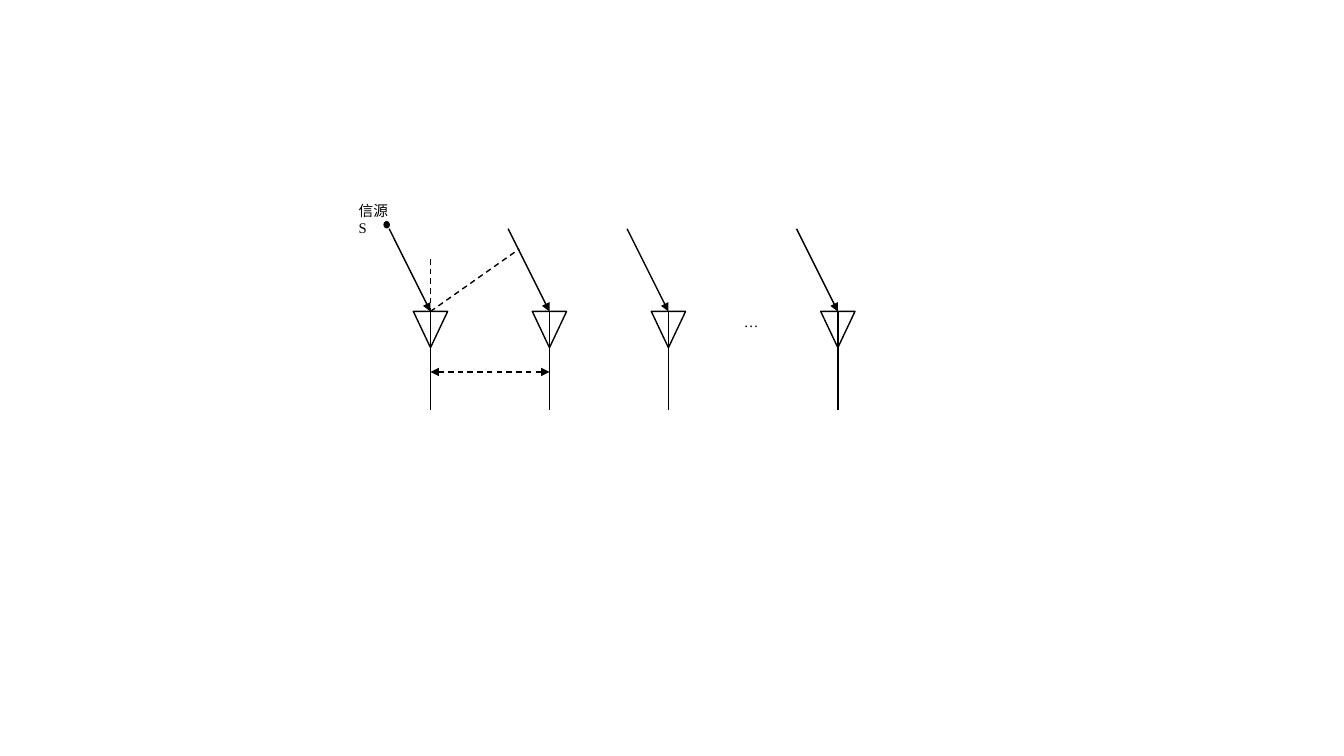
"""Draw a linear antenna array receiving a plane wave from a source."""
from lxml import etree
from pptx import Presentation, util as u
from pptx.dml import color
from pptx.enum import dml, shapes, text
from pptx.oxml import ns

PX = 9144
INK = "000000"
PAPER = "FFFFFF"
FONT = "Times New Roman"
FIRST_MAST = 427
SPACING = 118
LAST_MAST = 831
MASTS = [FIRST_MAST + SPACING * index for index in range(3)] + [LAST_MAST]
ANTENNA_TOP = 309


def px(length):
    """Turn whole pixels into EMU."""
    return u.Emu(length * PX)


def rgb(value):
    """Turn a hex string into a colour."""
    return color.RGBColor.from_string(value)


def style_line(line):
    """Give a line the drawing's ink and weight."""
    line.color.rgb = rgb(INK)
    line.width = u.Pt(1)


def add_line(page, start, end, dashed=False, arrows=()):
    """Add a straight line with optional dashes and arrowheads."""
    line = page.shapes.add_connector(
        shapes.MSO_CONNECTOR.STRAIGHT, *map(px, start + end))
    style_line(line.line)
    if dashed:
        line.line.dash_style = dml.MSO_LINE.DASH
    properties = line._element.spPr
    outline = line.line._get_or_add_ln()
    for side in arrows:
        etree.SubElement(outline, ns.qn(f"a:{side}"), type="triangle")
    etree.SubElement(properties, ns.qn("a:effectLst"))


def add_figure(page, kind, bounds, fill):
    """Add a filled and outlined preset shape."""
    figure = page.shapes.add_shape(kind, *map(px, bounds))
    figure.shadow.inherit = False
    figure.fill.solid()
    figure.fill.fore_color.rgb = rgb(fill)
    style_line(figure.line)
    return figure


def add_label(page, bounds, words):
    """Add a small text label."""
    box = page.shapes.add_textbox(*map(px, bounds))
    box.text_frame.word_wrap = True
    box.text_frame.auto_size = text.MSO_AUTO_SIZE.NONE
    span = box.text_frame.paragraphs[0].add_run()
    span.text = words
    for name, value in {"name": FONT, "size": u.Pt(10.5)}.items():
        setattr(span.font, name, value)
    span.font.color.rgb = rgb(INK)


def add_antenna(page, mast):
    """Add one antenna with its mast and incoming ray."""
    horn = add_figure(page, shapes.MSO_SHAPE.ISOSCELES_TRIANGLE,
                      (mast - 17, ANTENNA_TOP, 34, 36), PAPER)
    horn._element.spPr.xfrm.set("flipV", "1")
    add_line(page, (mast, ANTENNA_TOP), (mast, 407))
    add_line(page, (mast - 41, 227), (mast, ANTENNA_TOP), arrows=["tailEnd"])


def main():
    """Build and save the slide."""
    deck = Presentation()
    deck.slide_width, deck.slide_height = px(1333), px(750)
    page = deck.slides.add_slide(deck.slide_layouts[6])
    for mast in MASTS:
        add_antenna(page, mast)
    add_figure(page, shapes.MSO_SHAPE.OVAL, (381, 220, 5, 6), INK)
    add_label(page, (346, 195, 56, 28), "信源S")
    add_label(page, (728, 305, 35, 28), "…")
    add_line(page, (FIRST_MAST, 369), (FIRST_MAST + SPACING, 369),
             dashed=True, arrows=["headEnd", "tailEnd"])
    add_line(page, (FIRST_MAST, ANTENNA_TOP), (515, 247), dashed=True)
    add_line(page, (FIRST_MAST, 257), (FIRST_MAST, ANTENNA_TOP), dashed=True)
    deck.save("out.pptx")


if __name__ == "__main__":
    main()
